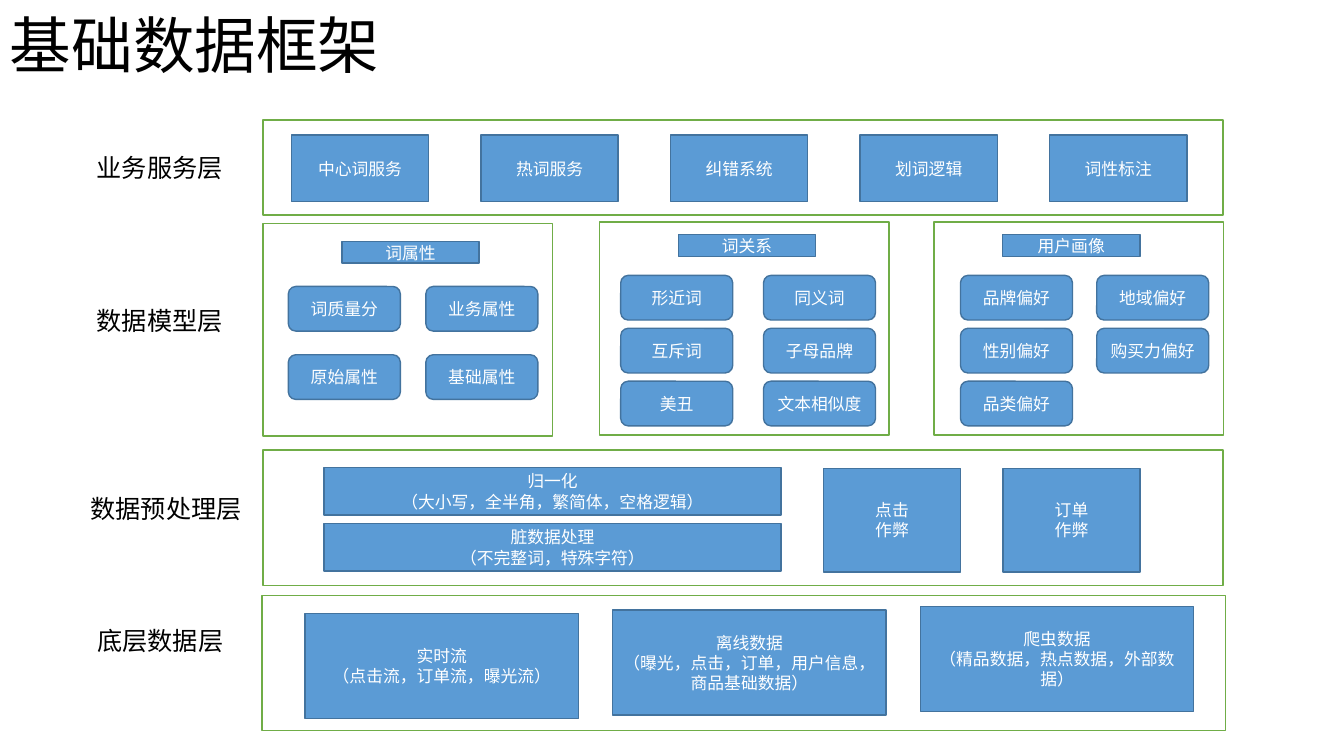
from dataclasses import dataclass

from lxml import etree
from pptx import Presentation
from pptx.dml.color import RGBColor
from pptx.enum.shapes import MSO_SHAPE
from pptx.enum.text import MSO_ANCHOR, PP_ALIGN
from pptx.oxml.ns import qn
from pptx.util import Pt


@dataclass(frozen=True)
class Theme:
    font: str = "Noto Sans CJK SC"
    ink: str = "000000"
    paper: str = "FFFFFF"
    frame: str = "70AD47"
    block: str = "5B9BD5"
    edge: str = "43739E"
    title_size: int = 44
    label_size: int = 18
    block_size: int = 12


@dataclass(frozen=True)
class Box:
    left: float
    top: float
    width: float
    height: float

    def inner(self, left, top, width, height):
        return Box(self.left + left, self.top + top, width, height)

    def lengths(self):
        return Pt(self.left), Pt(self.top), Pt(self.width), Pt(self.height)


THEME = Theme()
RECTANGLE = MSO_SHAPE.RECTANGLE
PILL = MSO_SHAPE.ROUNDED_RECTANGLE


def write_text(shape, text, *, size, color, align=PP_ALIGN.LEFT,
               anchor=MSO_ANCHOR.MIDDLE, line_spacing=None):
    frame = shape.text_frame
    frame.word_wrap = True
    frame.vertical_anchor = anchor
    frame.text = text
    for paragraph in frame.paragraphs:
        paragraph.alignment = align
        paragraph.line_spacing = line_spacing
        for run in paragraph.runs:
            run.font.size = Pt(size)
            run.font.name = THEME.font
            run.font.color.rgb = RGBColor.from_string(color)
            east_asian = etree.SubElement(run.font._element, qn("a:ea"))
            east_asian.set("typeface", THEME.font)


def add_panel(slide, box, kind=RECTANGLE, fill=THEME.paper, line=THEME.frame):
    shape = slide.shapes.add_shape(kind, *box.lengths())
    shape.shadow.inherit = False
    shape.fill.solid()
    shape.fill.fore_color.rgb = RGBColor.from_string(fill)
    shape.line.color.rgb = RGBColor.from_string(line)
    shape.line.width = Pt(1)
    return shape


def add_block(slide, box, text, kind=RECTANGLE):
    shape = add_panel(slide, box, kind, THEME.block, THEME.edge)
    write_text(shape, text, size=THEME.block_size, color=THEME.paper,
               align=PP_ALIGN.CENTER)


def add_title(slide, box, text):
    shape = slide.shapes.add_textbox(*box.lengths())
    write_text(shape, text, size=THEME.title_size, color=THEME.ink,
               line_spacing=0.9)


def add_label(slide, box, text):
    shape = slide.shapes.add_textbox(*box.lengths())
    write_text(shape, text, size=THEME.label_size, color=THEME.ink,
               anchor=MSO_ANCHOR.TOP)


def add_service_layer(slide, box, services):
    add_panel(slide, box)
    for column, service in enumerate(services):
        add_block(slide, box.inner(20.2 + 135.4 * column, 10.8, 98, 47.5), service)


def add_model_group(slide, box, heading, heading_at, rows, columns_at, first_row, pitch):
    add_panel(slide, box)
    add_block(slide, box.inner(*heading_at, 98, 15.4), heading)
    for row, names in enumerate(rows):
        for left, name in zip(columns_at, names):
            pill = box.inner(left, first_row + pitch * row, 80, 31.9)
            add_block(slide, pill, name, PILL)


def add_preprocessing_layer(slide, box, rules, checks):
    add_panel(slide, box)
    for row, rule in enumerate(rules):
        add_block(slide, box.inner(43.6, 12.5 + 40 * row, 326.2, 33.8), rule)
    for column, check in enumerate(checks):
        add_block(slide, box.inner(400.2, 13, 98, 74), check) if column == 0 else \
            add_block(slide, box.inner(400.2 + 128.2 * column, 13, 98, 74), check)


def add_source_layer(slide, box, sources):
    add_panel(slide, box)
    for column, source in enumerate(sources):
        block = box.inner(30.8 + 219.7 * column, 12.8 - 2.5 * column, 195.3, 74.9)
        add_block(slide, block, source)


def main():
    presentation = Presentation()
    presentation.slide_width = Pt(960)
    presentation.slide_height = Pt(540)
    slide = presentation.slides.add_slide(presentation.slide_layouts[6])

    add_title(slide, Box(0, -17.3, 828, 104.4), "基础数据框架")
    for left, top, width, label in (
        (62, 105.4, 109, "业务服务层"),
        (62, 214.8, 109, "数据模型层"),
        (57.6, 348.8, 130, "数据预处理层"),
        (62.4, 443, 109, "底层数据层"),
    ):
        add_label(slide, Box(left, top, width, 29), label)

    add_service_layer(slide, Box(188, 85.7, 685.6, 68),
                      ("中心词服务", "热词服务", "纠错系统", "划词逻辑", "词性标注"))

    add_model_group(slide, Box(188, 159.6, 206.6, 152), "词属性", (56.2, 13),
                    (("词质量分", "业务属性"), ("原始属性", "基础属性")),
                    (18, 116.2), 45, 48.8)
    add_model_group(slide, Box(428.4, 158.7, 206.6, 152), "词关系", (56.2, 9),
                    (("形近词", "同义词"), ("互斥词", "子母品牌"), ("美丑", "文本相似度")),
                    (15, 117), 38, 37.8)
    add_model_group(slide, Box(667.2, 158.7, 206.6, 152), "用户画像", (49, 9),
                    (("品牌偏好", "地域偏好"), ("性别偏好", "购买力偏好"), ("品类偏好",)),
                    (18.9, 116.2), 38, 37.8)

    add_preprocessing_layer(slide, Box(188, 321.5, 685.6, 96.7),
                            ("归一化\n（大小写，全半角，繁简体，空格逻辑）",
                             "脏数据处理\n（不完整词，特殊字符）"),
                            ("点击\n作弊", "订单\n作弊"))
    add_source_layer(slide, Box(187.2, 425.5, 688.2, 96.5),
                     ("实时流\n（点击流，订单流，曝光流）",
                      "离线数据\n（曝光，点击，订单，用户信息，商品基础数据）",
                      "爬虫数据\n（精品数据，热点数据，外部数据）"))

    presentation.save("out.pptx")


if __name__ == "__main__":
    main()
